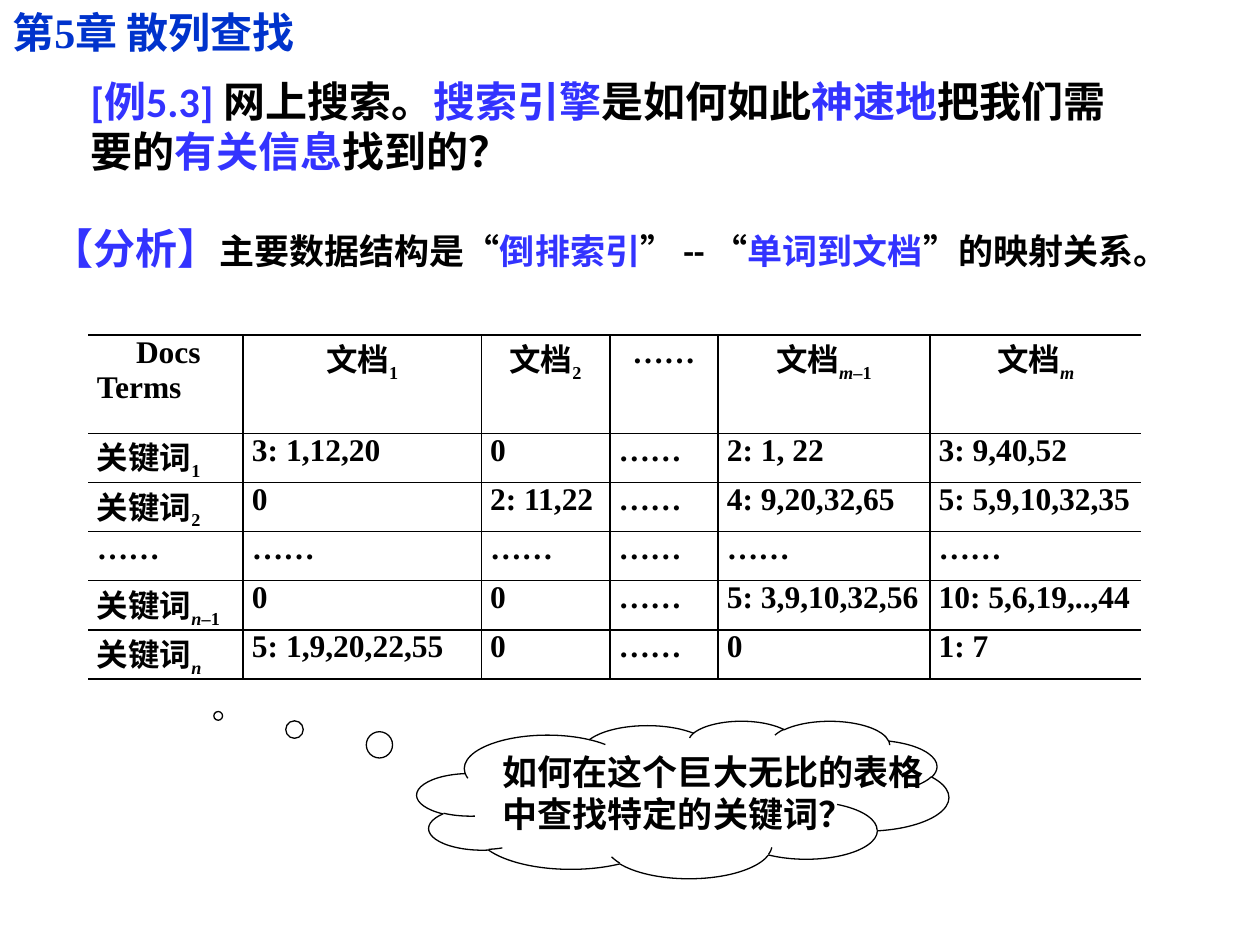
from lxml.etree import SubElement
from pptx import Presentation
from pptx.dml.color import RGBColor
from pptx.enum.shapes import MSO_SHAPE
from pptx.enum.text import MSO_ANCHOR, MSO_AUTO_SIZE, PP_ALIGN
from pptx.oxml.ns import qn
from pptx.util import Inches, Pt

BLACK, BLUE, TITLE_BLUE = "000000", "3333FF", "0033CC"
SERIF, SANS = "Times New Roman", "Calibri"

COLUMNS = [1.23, 1.89, 1.02, 0.86, 1.68, 1.68]
ROWS = [0.78] + [0.39] * 5
# An underscore starts a subscript
INDEX = [
    ["Docs\nTerms", "文档_1", "文档_2", "……", "文档_m–1", "文档_m"],
    ["关键词_1", "3: 1,12,20", "0", "……", "2: 1, 22", "3: 9,40,52"],
    ["关键词_2", "0", "2: 11,22", "……", "4: 9,20,32,65", "5: 5,9,10,32,35"],
    ["……"] * 6,
    ["关键词_n–1", "0", "0", "……", "5: 3,9,10,32,56", "10: 5,6,19,..,44"],
    ["关键词_n", "5: 1,9,20,22,55", "0", "……", "0", "1: 7"],
]


def rgb(color):
    return RGBColor.from_string(color)


def add_span(para, text, size, color=BLACK, name=SANS, **extra):
    span = para.add_run()
    span.text = text
    formats = {"size": Pt(size), "name": name, "bold": True, **extra}
    for key, value in formats.items():
        setattr(span.font, key, value)
    span.font.color.rgb = rgb(color)
    return span


def add_text(page, box, spans, name=SANS):
    """Place a one-paragraph text box; spans are (text, size, color)."""
    frame = page.shapes.add_textbox(*map(Inches, box)).text_frame
    frame.word_wrap = True
    frame.auto_size = MSO_AUTO_SIZE.SHAPE_TO_FIT_TEXT
    para = frame.paragraphs[0]
    for text, size, color in spans:
        add_span(para, text, size, color, name)
    return para


def add_heading(page, box):
    para = add_text(page, box, [("第5章 散列查找", 24, TITLE_BLUE)], SERIF)
    para.space_before = Pt(12)


def add_question(page, box):
    parts = ["[例5.3] ", "网上搜索。", "搜索引擎", "是如何如此",
             "神速地", "把我们需要的", "有关信息", "找到的？"]
    add_text(page, box, [(text, 24, BLACK if order % 2 else BLUE)
                         for order, text in enumerate(parts)])


def add_analysis(page, box):
    add_text(page, box, [
        ("【分析】", 24, BLUE),
        ("主要数据结构是“", 20, BLACK),
        ("倒排索引", 20, BLUE),
        ("” -- “", 20, BLACK),
        ("单词到文档", 20, BLUE),
        ("”的映射关系。", 20, BLACK),
    ])


def set_borders(cell, hidden):
    props = cell._tc.get_or_add_tcPr()
    for side in "LRTB":
        line = SubElement(props, qn(f"a:ln{side}"), w=str(Pt(1)))
        if side in hidden:
            SubElement(line, qn("a:noFill"))
        else:
            fill = SubElement(line, qn("a:solidFill"))
            SubElement(fill, qn("a:srgbClr"), val=BLACK)


def add_subscript(para, text):
    letter, rest = text[0], text[1:]
    parts = [(letter, letter.isalpha())] + ([(rest, False)] if rest else [])
    for part, italic in parts:
        span = add_span(para, part, 18, name=SERIF, italic=italic)
        span.font._element.set("baseline", "-25000")


def fill_cell(cell, text, align):
    formats = {"margin_left": Inches(0.07), "margin_right": Inches(0.07),
               "margin_top": 0, "margin_bottom": 0,
               "vertical_anchor": MSO_ANCHOR.TOP}
    for key, value in formats.items():
        setattr(cell, key, value)
    for order, line in enumerate(text.split("\n")):
        frame = cell.text_frame
        para = frame.add_paragraph() if order else frame.paragraphs[0]
        para.alignment = align
        base, _, subscript = line.partition("_")
        add_span(para, base, 18, name=SERIF)
        if subscript:
            add_subscript(para, subscript)


def add_index_table(page, box):
    table = page.shapes.add_table(len(ROWS), len(COLUMNS), *map(Inches, box)).table
    table.first_row = table.horz_banding = False
    for column, width in zip(table.columns, COLUMNS):
        column.width = Inches(width)
    for row, height in zip(table.rows, ROWS):
        row.height = Inches(height)
    last = len(COLUMNS) - 1
    for r, texts in enumerate(INDEX):
        for c, text in enumerate(texts):
            cell = table.cell(r, c)
            align = PP_ALIGN.CENTER if r == 0 and c else PP_ALIGN.JUSTIFY
            fill_cell(cell, text, align)
            set_borders(cell, {0: "L", last: "R"}.get(c, ""))
            cell.fill.background()
    # Indent the column label in the corner cell
    corner = table.cell(0, 0).text_frame.paragraphs[0]
    corner._p.get_or_add_pPr().set("marL", str(Inches(0.31)))


def add_thought_cloud(page, box):
    cloud = page.shapes.add_shape(MSO_SHAPE.CLOUD_CALLOUT, *map(Inches, box))
    cloud.adjustments[0], cloud.adjustments[1] = -0.874, -0.531
    cloud.shadow.inherit = False
    cloud.fill.background()
    cloud.line.color.rgb = rgb(BLACK)
    cloud.line.width = Pt(0.75)
    frame = cloud.text_frame
    frame.word_wrap = False
    frame.vertical_anchor = MSO_ANCHOR.TOP
    for order, line in enumerate(["如何在这个巨大无比的表格", "中查找特定的关键词？"]):
        para = frame.add_paragraph() if order else frame.paragraphs[0]
        para.alignment = PP_ALIGN.LEFT
        add_span(para, line, 20)


def main():
    deck = Presentation()
    deck.slide_width, deck.slide_height = Inches(10), Inches(7.5)
    page = deck.slides.add_slide(deck.slide_layouts[6])
    add_question(page, (0.62, 0.55, 8.28, 0.91))
    add_analysis(page, (0.31, 1.72, 9.2, 0.5))
    add_thought_cloud(page, (3.31, 5.72, 4.22, 1.25))
    add_index_table(page, (0.7, 2.66, sum(COLUMNS), sum(ROWS)))
    add_heading(page, (0, 0, 3.27, 0.5))
    deck.save("out.pptx")


if __name__ == "__main__":
    main()
